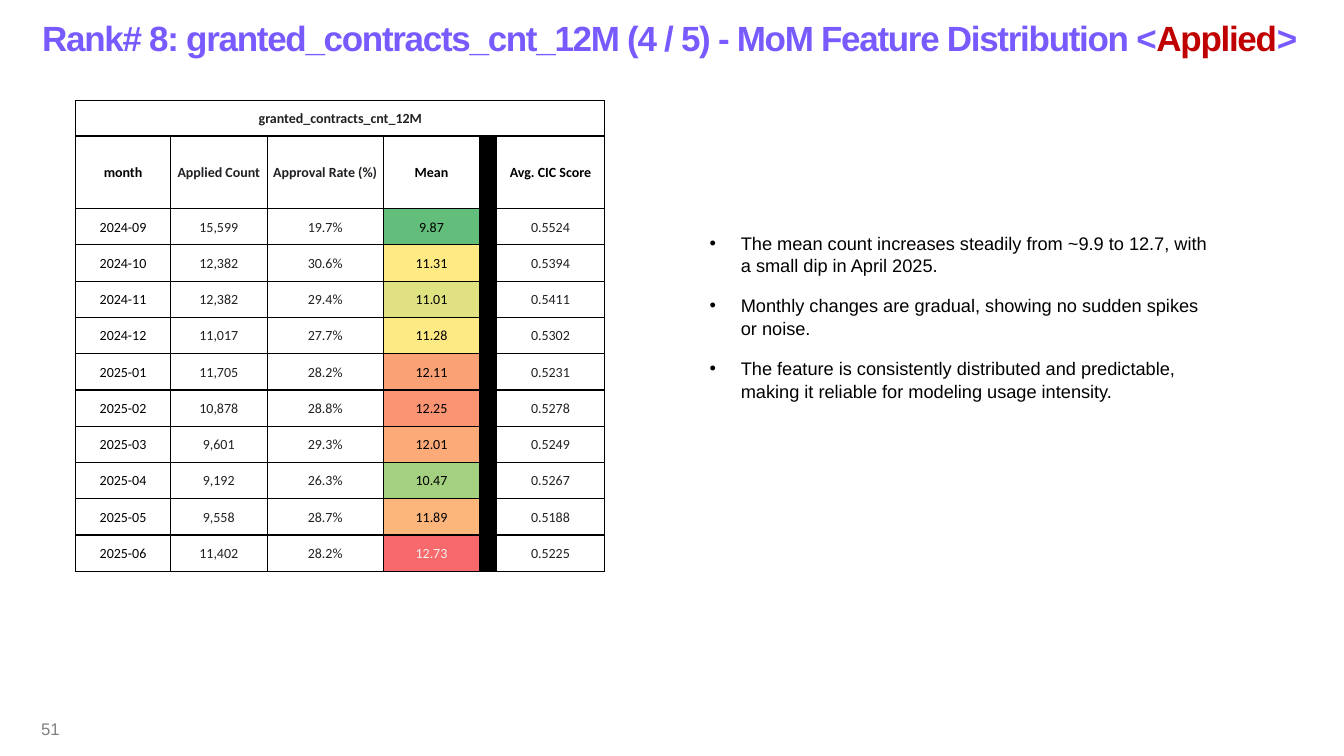
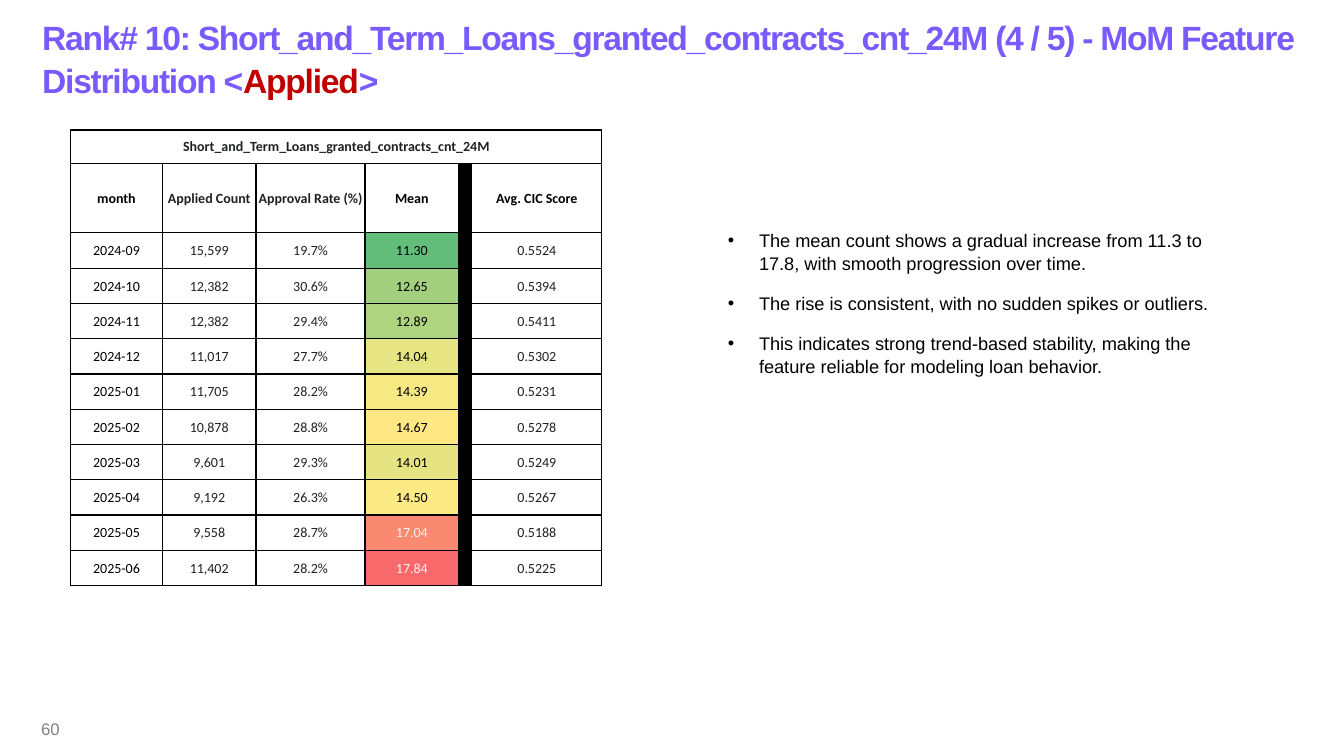
"""Build two slides on the monthly distribution of model features."""
from lxml import etree
from pptx import Presentation
from pptx import util as u
from pptx.dml.color import RGBColor
from pptx.enum import text
from pptx.oxml import ns

MONTHS = [f"2024-{month:02}" for month in range(9, 13)]
MONTHS += [f"2025-{month:02}" for month in range(1, 7)]
COUNTS = ["15,599", "12,382", "12,382", "11,017", "11,705",
          "10,878", "9,601", "9,192", "9,558", "11,402"]
RATES = ["19.7%", "30.6%", "29.4%", "27.7%", "28.2%",
         "28.8%", "29.3%", "26.3%", "28.7%", "28.2%"]
SCORES = ["0.5524", "0.5394", "0.5411", "0.5302", "0.5231",
          "0.5278", "0.5249", "0.5267", "0.5188", "0.5225"]
HEADERS = ["month", "Applied Count", "Approval Rate (%)", "Mean", "", "Avg. CIC Score"]
MEAN, DIVIDER = 3, 4

PAGES = [
    {
        "rank": 8, "feature": "granted_contracts_cnt_12M", "number": 51,
        "title": (12.92, 0.72, 25),
        "table": (0.75, 1, [0.94, 0.96, 1.15, 0.96, 0.16, 1.08], (0.35, 0.72, 0.36)),
        "means": [("9.87", "63BE7B"), ("11.31", "FFEA84"), ("11.01", "E0E282"),
                  ("11.28", "FDEA84"), ("12.11", "FBA176"), ("12.25", "FA9473"),
                  ("12.01", "FCAA78"), ("10.47", "A4D17F"), ("11.89", "FCB57A"),
                  ("12.73", "F8696B")],
        "notes": (6.94, 2.24, 1.75),
        "points": [
            "The mean count increases steadily from ~9.9 to 12.7, with a small dip in April 2025.",
            "Monthly changes are gradual, showing no sudden spikes or noise.",
            "The feature is consistently distributed and predictable, "
            "making it reliable for modeling usage intensity.",
        ],
    },
    {
        "rank": 10, "feature": "Short_and_Term_Loans_granted_contracts_cnt_24M", "number": 60,
        "title": (13.02, 1.14, 24),
        "table": (0.7, 1.29, [0.91, 0.93, 1.08, 0.93, 0.13, 1.29], (0.33, 0.69, 0.35)),
        "means": [("11.30", "63BE7B"), ("12.65", "A3D07F"), ("12.89", "AFD47F"),
                  ("14.04", "E6E483"), ("14.39", "F6E883"), ("14.67", "FFE783"),
                  ("14.01", "E5E382"), ("14.50", "FCEA84"), ("17.04", "FA8971"),
                  ("17.84", "F8696B")],
        "notes": (7.12, 2.22, 1.53),
        "points": [
            "The mean count shows a gradual increase from 11.3 to 17.8, "
            "with smooth progression over time.",
            "The rise is consistent, with no sudden spikes or outliers.",
            "This indicates strong trend-based stability, "
            "making the feature reliable for modeling loan behavior.",
        ],
    },
]


def color(value):
    """Turn a hex string into a colour."""
    return RGBColor.from_string(value)


class Report:
    """Hold the style and the current slide."""

    PURPLE, RED, GREY = "785AFF", "C00000", "808080"
    BLACK, INK, WHITE, PALE = "000000", "202124", "FFFFFF", "F1F1F1"
    STRONG_FILLS = {"FA8971", "F8696B"}
    BODY, GRID = "Arial", "Calibri"
    LEADING = 1.05

    def __init__(self):
        """Start an empty widescreen deck."""
        self.deck = Presentation()
        self.deck.slide_width, self.deck.slide_height = u.Inches(13.33), u.Inches(7.5)
        self.page = None

    def new_page(self):
        """Add a blank slide and make it current."""
        self.page = self.deck.slides.add_slide(self.deck.slide_layouts[6])

    def span(self, para, words, size, ink, font=BODY, bold=False):
        """Add one styled run to a paragraph."""
        span = para.add_run()
        span.text = words
        span.font.size, span.font.name, span.font.bold = u.Pt(size), font, bold
        span.font.color.rgb = color(ink)
        return span

    def frame(self, left, top, width, height, anchor=text.MSO_ANCHOR.MIDDLE):
        """Add a wrapping text box and return its text frame."""
        box = self.page.shapes.add_textbox(*map(u.Inches, (left, top, width, height)))
        box.text_frame.word_wrap = True
        box.text_frame.vertical_anchor = anchor
        return box.text_frame

    def title(self, rank, feature, width, height, size):
        """Write the title with its highlighted population."""
        para = self.frame(0.32, 0, width, height).paragraphs[0]
        para.line_spacing = self.LEADING
        lead = f"Rank# {rank}: {feature} (4 / 5) - MoM Feature Distribution <"
        for words, ink in ((lead, self.PURPLE), ("Applied", self.RED), (">", self.PURPLE)):
            span = self.span(para, words, size, ink, bold=True)
            span.font._element.set("spc", "-90")

    def page_number(self, number):
        """Write the page number at the bottom left."""
        para = self.frame(0.31, 7.03, 3, 0.4).paragraphs[0]
        self.span(para, str(number), 12, self.GREY)

    def bullets(self, points, left, top, height):
        """Write a bulleted list."""
        frame = self.frame(left, top, 5.17, height, text.MSO_ANCHOR.TOP)
        frame.auto_size = text.MSO_AUTO_SIZE.SHAPE_TO_FIT_TEXT
        for index, point in enumerate(points):
            para = frame.add_paragraph() if index else frame.paragraphs[0]
            props = para._p.get_or_add_pPr()
            props.set("marL", str(u.Inches(0.31)))
            props.set("indent", str(u.Inches(-0.31)))
            etree.SubElement(props, ns.qn("a:buFont"), typeface=self.BODY)
            etree.SubElement(props, ns.qn("a:buChar"), char="•")
            para.line_spacing, para.space_after = self.LEADING, u.Pt(12)
            self.span(para, point, 13, self.BLACK)

    def cell(self, cell, words, fill, ink, bold):
        """Style one bordered table cell and write its text."""
        cell.margin_left = cell.margin_top = cell.margin_right = u.Inches(0.01)
        cell.margin_bottom = 0
        cell.vertical_anchor = text.MSO_ANCHOR.MIDDLE
        props = cell._tc.get_or_add_tcPr()
        for side in "LRTB":
            line = etree.SubElement(props, ns.qn(f"a:ln{side}"), w=str(u.Pt(1)))
            paint = etree.SubElement(line, ns.qn("a:solidFill"))
            etree.SubElement(paint, ns.qn("a:srgbClr"), val=self.BLACK)
        cell.fill.solid()
        cell.fill.fore_color.rgb = color(fill)
        if words:
            para = cell.text_frame.paragraphs[0]
            para.alignment = text.PP_ALIGN.CENTER
            self.span(para, words, 10, ink, self.GRID, bold)

    def table(self, feature, means, left, top, widths, heights):
        """Draw the monthly table with a coloured mean column."""
        values = [mean for mean, _ in means]
        blanks = [""] * len(means)
        rows = [[feature] + [""] * (len(HEADERS) - 1), HEADERS]
        rows += zip(MONTHS, COUNTS, RATES, values, blanks, SCORES)
        banner, header, body = heights
        row_heights = [banner, header] + [body] * len(means)
        size = (left, top, sum(widths), sum(row_heights))
        table = self.page.shapes.add_table(
            len(rows), len(widths), *map(u.Inches, size)).table
        table.first_row = table.horz_banding = False
        for column, width in zip(table.columns, widths):
            column.width = u.Inches(width)
        for row, height in zip(table.rows, row_heights):
            row.height = u.Inches(height)
        for r, row in enumerate(rows):
            for c, words in enumerate(row):
                fill, ink = self.WHITE, self.BLACK if c in (0, MEAN) else self.INK
                if r == 0:
                    ink = self.INK
                elif c == DIVIDER:
                    fill = self.BLACK
                elif r == 1 and c > MEAN:
                    ink = self.BLACK
                elif r > 1 and c == MEAN:
                    fill = means[r - 2][1]
                    ink = self.PALE if fill in self.STRONG_FILLS else self.BLACK
                self.cell(table.cell(r, c), words, fill, ink, bold=r < 2)
        table.cell(0, 0).merge(table.cell(0, len(widths) - 1))


def main():
    """Build and save the deck."""
    report = Report()
    for page in PAGES:
        report.new_page()
        report.title(page["rank"], page["feature"], *page["title"])
        report.page_number(page["number"])
        report.table(page["feature"], page["means"], *page["table"])
        report.bullets(page["points"], *page["notes"])
    report.deck.save("out.pptx")


if __name__ == "__main__":
    main()
